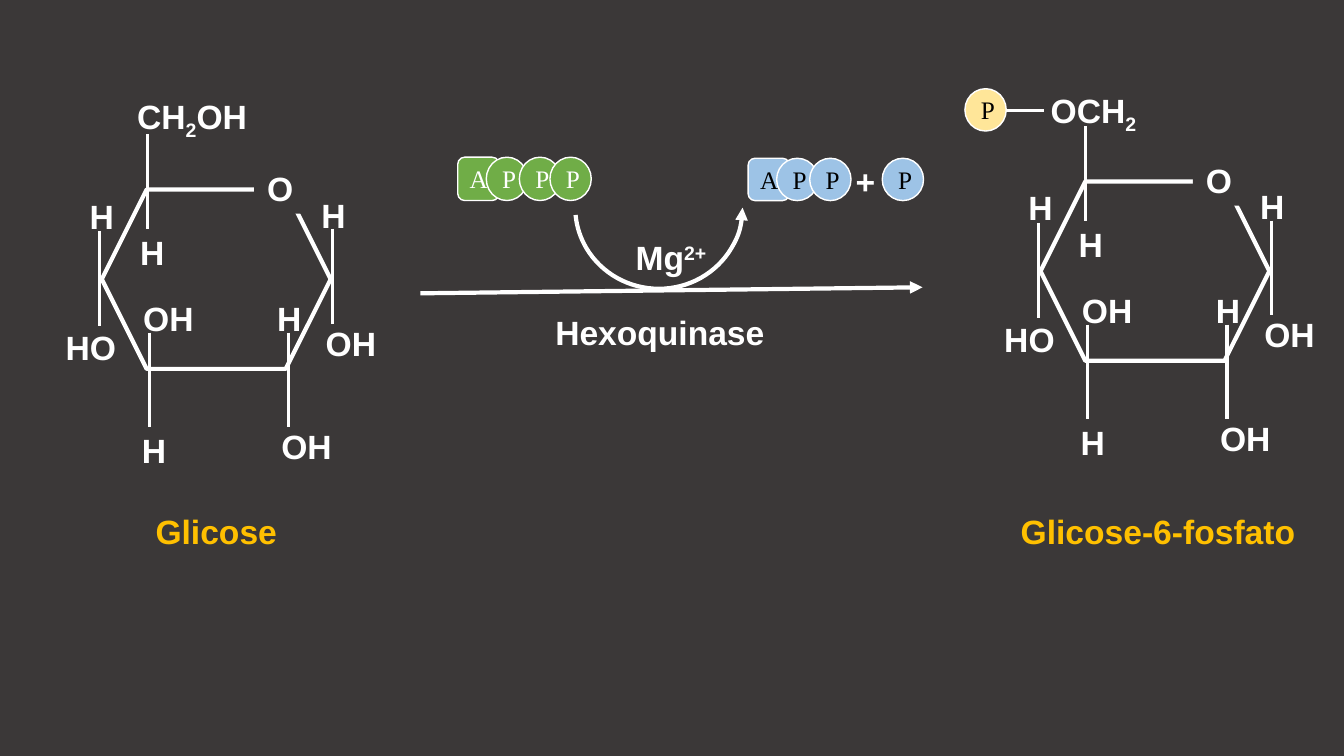
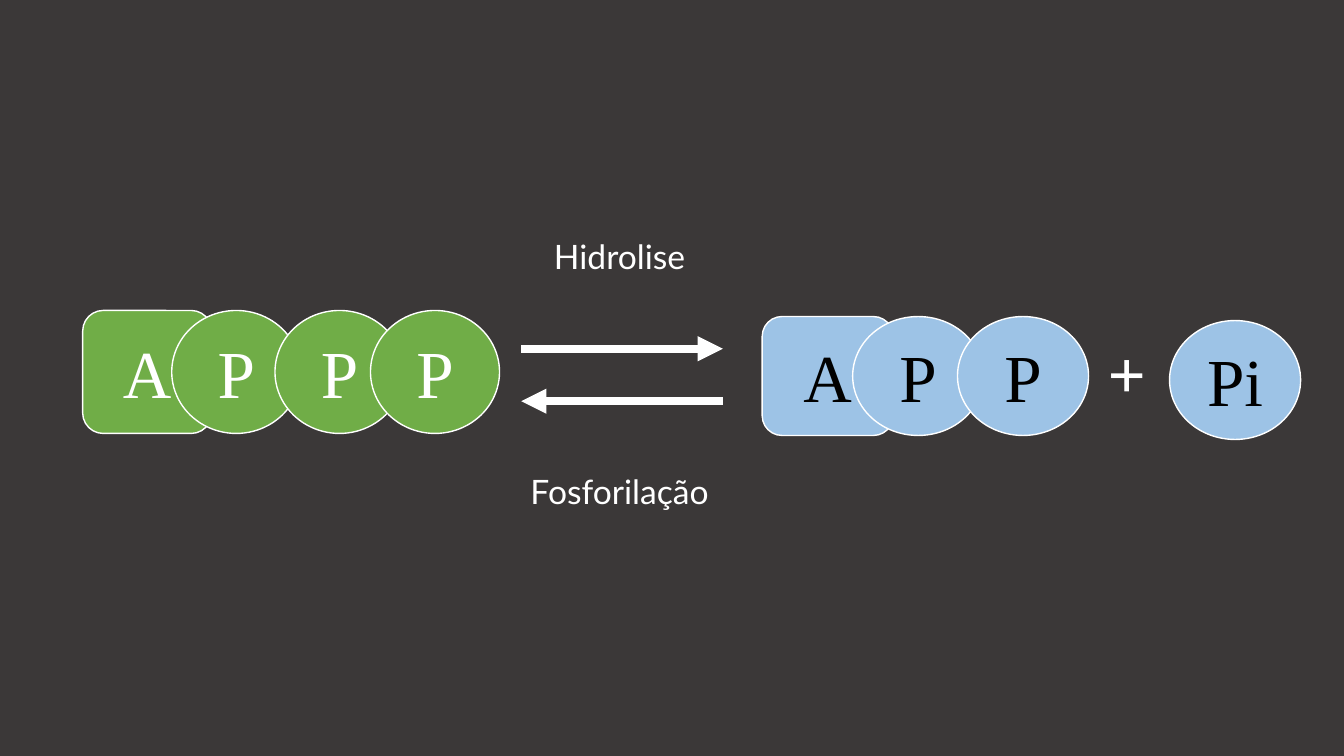
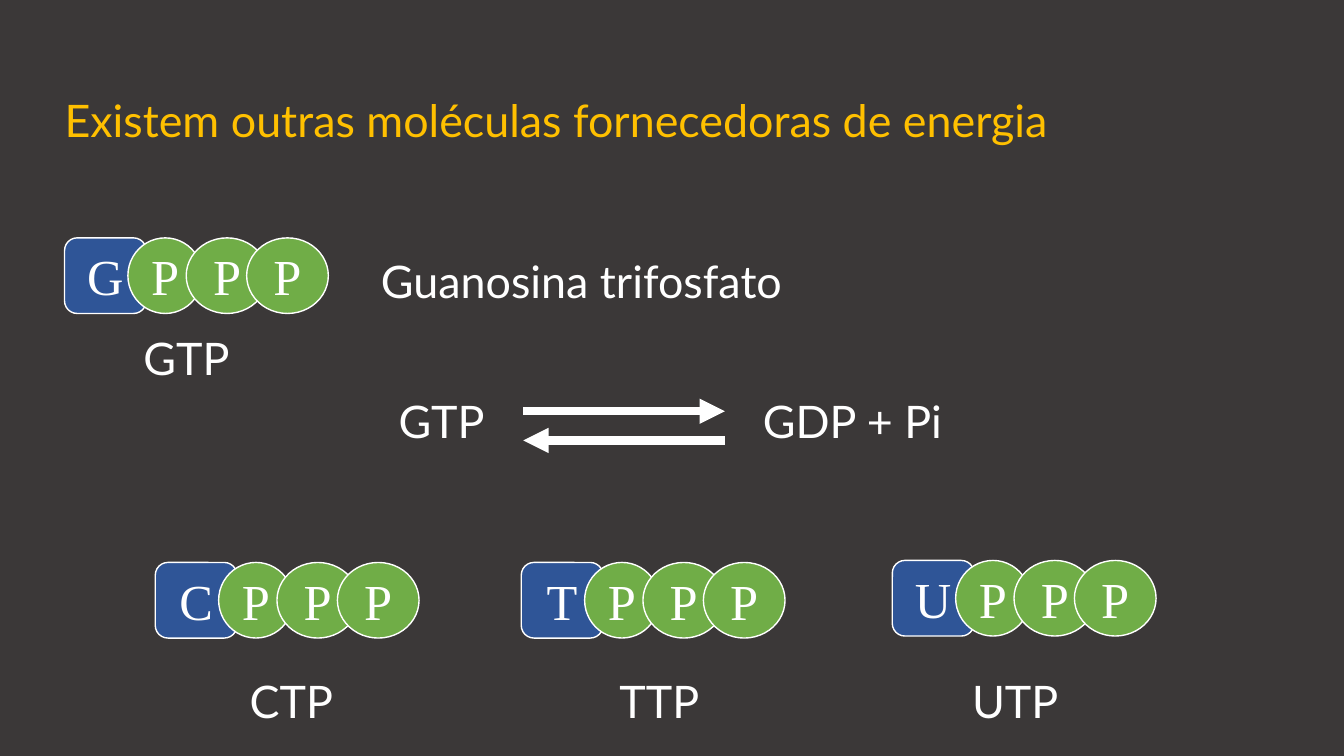
from lxml.etree import SubElement
from pptx import Presentation
from pptx.dml.color import RGBColor
from pptx.enum.shapes import MSO_CONNECTOR, MSO_SHAPE
from pptx.enum.text import MSO_ANCHOR, MSO_AUTO_SIZE, PP_ALIGN
from pptx.oxml.ns import qn
from pptx.util import Inches, Pt

# Shared style
BACKGROUND = RGBColor(0x3B, 0x38, 0x38)
WHITE = RGBColor(0xFF, 0xFF, 0xFF)
BLACK = RGBColor(0x00, 0x00, 0x00)
GOLD = RGBColor(0xFF, 0xC0, 0x00)
GREEN = RGBColor(0x70, 0xAD, 0x47)
LIGHT_BLUE = RGBColor(0x9D, 0xC3, 0xE6)
DARK_BLUE = RGBColor(0x2F, 0x55, 0x97)
YELLOW = RGBColor(0xFF, 0xE6, 0x99)
SERIF, SANS, CHEM = "Times New Roman", "Lato", "Arial"
LABEL_HEIGHT = 0.5
HEADING_HEIGHT = 0.64

# Sugar ring, measured from the corner of its hexagon
RING_SIZE = (2.27, 1.78)
BOND_LENGTH = 0.94
BONDS = [(0.47, 1.42), (1.85, 1.42), (2.29, 0.39), (-0.02, 0.41), (0.45, -0.55)]
ATOMS = [
    ("OH", 0.3, 1.03), ("H", 0.3, 2.34), ("OH", 1.67, 2.3), ("H", 1.64, 1.03),
    ("OH", 2.11, 1.27), ("H", 2.08, 0), ("HO", -0.47, 1.31), ("H", -0.22, 0.01),
    ("H", 0.28, 0.37),
]
ATOM_WIDTHS = {"H": 0.39, "OH": 0.72, "HO": 0.72}

# Slide 1: ring corner, carbon 6 (runs with baseline shift) and its place
SUGARS = [
    ((1.01, 1.88), [("CH", 0), ("2", -25), ("OH", 0)], (1.16, 0.9)),
    ((10.32, 1.8), [("OCH", 0), ("2", -25)], (10.1, 0.84)),
]
REACTION_LABELS = [
    ([("Hexoquinase", 0)], 4.63, 3.05, 3.83, WHITE),
    ([("+", 0)], 8.37, 1.55, 0.43, WHITE),
    ([("Mg", 0), ("2+", 30)], 4.74, 2.3, 3.83, WHITE),
    ([("Glicose", 0)], 0.23, 5.02, 3.83, GOLD),
    ([("Glicose-6-fosfato", 0)], 9.57, 5.02, 3.83, GOLD),
]

# Slide 2
DIRECTIONS = [("Hidrolise", 2.29), ("Fosforilação", 4.62)]

# Slide 3
TITLE = "Existem outras moléculas fornecedoras de energia"
NUCLEOTIDES = [("GPPP", 0.64, 2.36), ("CPPP", 1.54, 5.58),
               ("TPPP", 5.17, 5.58), ("UPPP", 8.85, 5.56)]
NUCLEOTIDE_LABELS = [
    ("GTP", 1.05, 3.23, 1.6), ("CTP", 2.09, 6.63, 1.6), ("TTP", 5.74, 6.63, 1.6),
    ("UTP", 9.27, 6.63, 1.6), ("GTP", 3.58, 3.86, 1.6), ("GDP + Pi", 7.25, 3.86, 2.41),
]

# Left edges of chain members, in member widths
CHAIN_OFFSETS = (0, 0.69, 1.49, 2.23)


def write(frame, runs, font, size, color, bold=False, align=PP_ALIGN.CENTER):
    paragraph = frame.paragraphs[0]
    paragraph.alignment = align
    for text, baseline in runs:
        run = paragraph.add_run()
        run.text = text
        run.font.name, run.font.size, run.font.bold = font, Pt(size), bold
        run.font.color.rgb = color
        if baseline:
            run._r.get_or_add_rPr().set("baseline", str(baseline * 1000))


def add_label(shapes, runs, left, top, width, height, font, size,
              color=WHITE, bold=False, align=PP_ALIGN.CENTER):
    label = shapes.add_textbox(Inches(left), Inches(top), Inches(width), Inches(height))
    label.text_frame.word_wrap = True
    label.text_frame.auto_size = MSO_AUTO_SIZE.SHAPE_TO_FIT_TEXT
    write(label.text_frame, runs, font, size, color, bold, align)
    return label


def add_chemical(shapes, runs, left, top, width, color=WHITE):
    return add_label(shapes, runs, left, top, width, LABEL_HEIGHT, CHEM, 24, color, True)


def add_line(shapes, start, end, weight, arrow=False):
    line = shapes.add_connector(MSO_CONNECTOR.STRAIGHT, *map(Inches, start + end))
    line.line.color.rgb = WHITE
    line.line.width = Pt(weight)
    if arrow:
        SubElement(line.line._get_or_add_ln(), qn("a:tailEnd"), type="triangle")
    SubElement(line._element.spPr, qn("a:effectLst"))


def add_outline(shapes, preset, left, top, width, height, weight):
    outline = shapes.add_shape(preset, Inches(left), Inches(top), Inches(width), Inches(height))
    outline.shadow.inherit = False
    outline.fill.background()
    outline.line.color.rgb = WHITE
    outline.line.width = Pt(weight)
    return outline


def add_unit(shapes, preset, text, left, top, width, height, fill, color, size):
    unit = add_outline(shapes, preset, left, top, width, height, 1)
    unit.fill.solid()
    unit.fill.fore_color.rgb = fill
    unit.text_frame.vertical_anchor = MSO_ANCHOR.MIDDLE
    write(unit.text_frame, [(text, 0)], SERIF, size, color)


def add_chain(slide, letters, left, top, width, height, fills, color, size, first_p=None):
    """Base followed by phosphates; first_p narrows the first phosphate."""
    group = slide.shapes.add_group_shape()
    for index, (letter, offset) in enumerate(zip(letters, CHAIN_OFFSETS)):
        unit_width = first_p if index == 1 and first_p else width
        right = left + offset * width + width
        add_unit(group.shapes, MSO_SHAPE.OVAL if index else MSO_SHAPE.ROUNDED_RECTANGLE,
                 letter, right - unit_width, top, unit_width, height,
                 fills[min(index, 1)], color, size)
    return group


def add_reversible(slide, left, forward_y, back_y):
    right = left + 2
    add_line(slide.shapes, (left, forward_y), (right, forward_y), 6, arrow=True)
    add_line(slide.shapes, (right, back_y), (left, back_y), 6, arrow=True)


def add_sugar(slide, corner, carbon_runs, carbon_place):
    shapes = slide.shapes
    x, y = corner
    add_outline(shapes, MSO_SHAPE.HEXAGON, x, y, *RING_SIZE, 3)
    oxygen = add_chemical(shapes, [("O", 0)], x + 1.51, y - 0.26, 0.52)
    oxygen.fill.solid()
    oxygen.fill.fore_color.rgb = BACKGROUND
    for dx, dy in BONDS:
        add_line(shapes, (x + dx, y + dy), (x + dx, y + dy + BOND_LENGTH), 2.25)
    for atom, dx, dy in ATOMS:
        add_chemical(shapes, [(atom, 0)], x + dx, y + dy, ATOM_WIDTHS[atom])
    add_chemical(shapes, carbon_runs, *carbon_place, 1.49)


prs = Presentation()
prs.slide_width, prs.slide_height = Inches(13.33), Inches(7.5)
prs.slide_master.background.fill.solid()
prs.slide_master.background.fill.fore_color.rgb = BACKGROUND
title_only, blank = prs.slide_layouts[5], prs.slide_layouts[6]

# Slide 1: glucose phosphorylation
reaction = prs.slides.add_slide(blank)
for sugar in SUGARS:
    add_sugar(reaction, *sugar)
add_line(reaction.shapes, (9.97, 1.1), (10.35, 1.1), 2.25)
for left, top, fill in [(9.57, 0.88, YELLOW), (8.75, 1.57, LIGHT_BLUE)]:
    add_unit(reaction.shapes, MSO_SHAPE.OVAL, "P", left, top, 0.41, 0.42, fill, BLACK, 18)
add_line(reaction.shapes, (4.17, 2.91), (9.15, 2.85), 3, arrow=True)
add_chain(reaction, "APPP", 4.54, 1.56, 0.41, 0.43, (GREEN, GREEN), WHITE, 18)
add_chain(reaction, "APP", 7.42, 1.57, 0.41, 0.42, (LIGHT_BLUE, LIGHT_BLUE), BLACK, 18)
transfer = add_outline(reaction.shapes, MSO_SHAPE.ARC, 5.73, 1.23, 1.61, 1.66, 3)
transfer.rotation = 90
transfer.adjustments[0], transfer.adjustments[1] = 162, 50.976
SubElement(transfer.line._get_or_add_ln(), qn("a:headEnd"), type="triangle")
for runs, left, top, width, color in REACTION_LABELS:
    add_chemical(reaction.shapes, runs, left, top, width, color)

# Slide 2: hydrolysis and phosphorylation
cycle = prs.slides.add_slide(blank)
add_reversible(cycle, 5.17, 3.46, 3.98)
for direction, top in DIRECTIONS:
    add_label(cycle.shapes, [(direction, 0)], 4.74, top, 2.81, LABEL_HEIGHT, SANS, 24)
add_chain(cycle, "APPP", 0.82, 3.08, 1.28, 1.22, (GREEN, GREEN), WHITE, 48)
products = add_chain(cycle, "APP", 7.56, 3.14, 1.3, 1.18, (LIGHT_BLUE, LIGHT_BLUE), BLACK, 48)
add_unit(products.shapes, MSO_SHAPE.OVAL, "Pi", 11.6, 3.18, 1.3, 1.18, LIGHT_BLUE, BLACK, 48)
add_label(products.shapes, [("+", 0)], 10.63, 3.24, 1.09, 0.91, SERIF, 48, bold=True)

# Slide 3: other energy carriers
carriers = prs.slides.add_slide(title_only)
title = carriers.shapes.title
title.left, title.top = Inches(0.54), Inches(0.87)
title.width, title.height = Inches(12.23), Inches(HEADING_HEIGHT)
title.text_frame.vertical_anchor = MSO_ANCHOR.TOP
write(title.text_frame, [(TITLE, 0)], SANS, 32, GOLD, align=PP_ALIGN.LEFT)
for letters, left, top in NUCLEOTIDES:
    add_chain(carriers, letters, left, top, 0.81, 0.75, (DARK_BLUE, GREEN), WHITE, 36, 0.74)
add_label(carriers.shapes, [("Guanosina trifosfato", 0)], 3.68, 2.47, 8.05,
          HEADING_HEIGHT, SANS, 32, align=PP_ALIGN.LEFT)
for name, left, top, width in NUCLEOTIDE_LABELS:
    add_label(carriers.shapes, [(name, 0)], left, top, width, HEADING_HEIGHT, SANS, 32)
add_reversible(carriers, 5.19, 4.08, 4.37)

prs.save("out.pptx")
